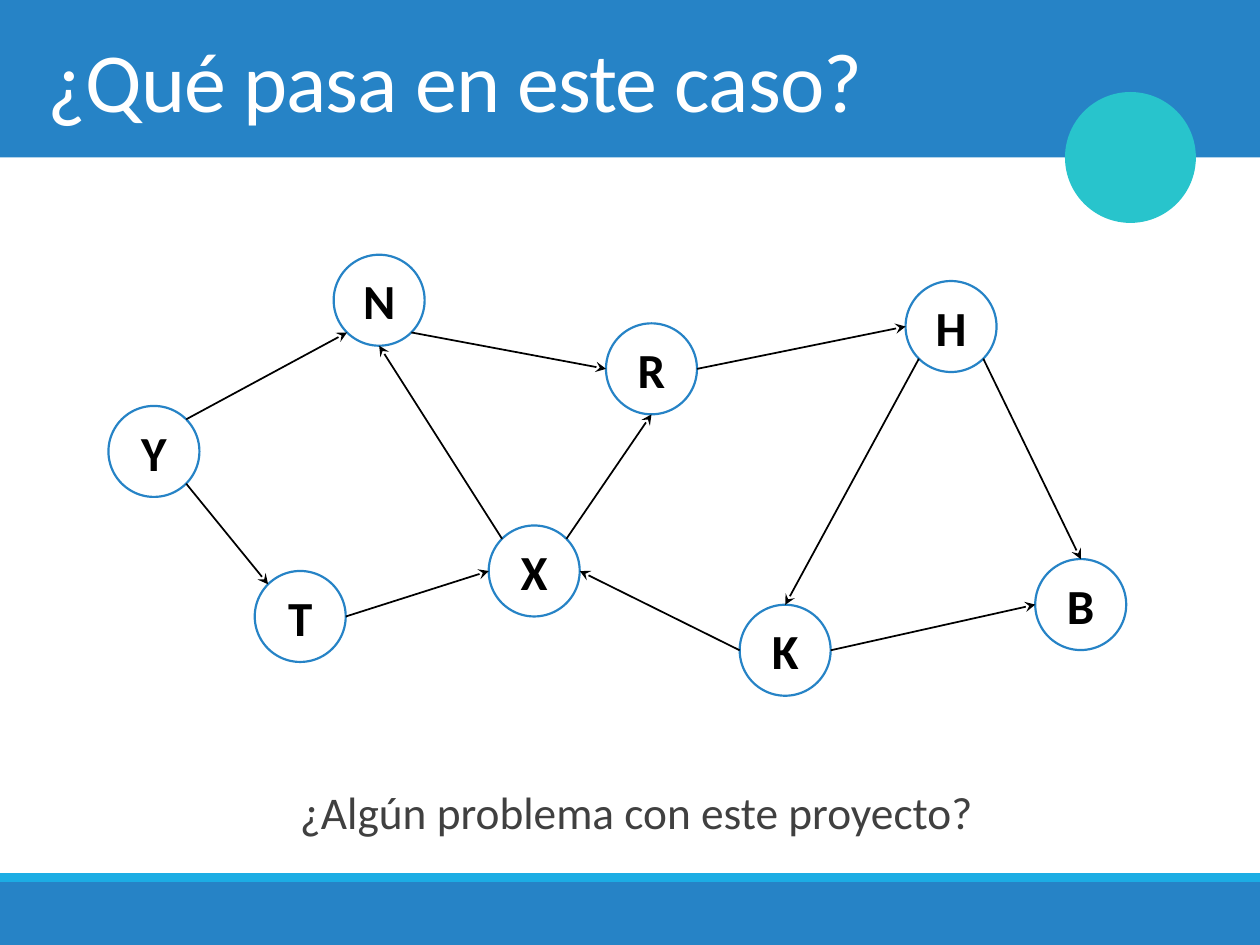
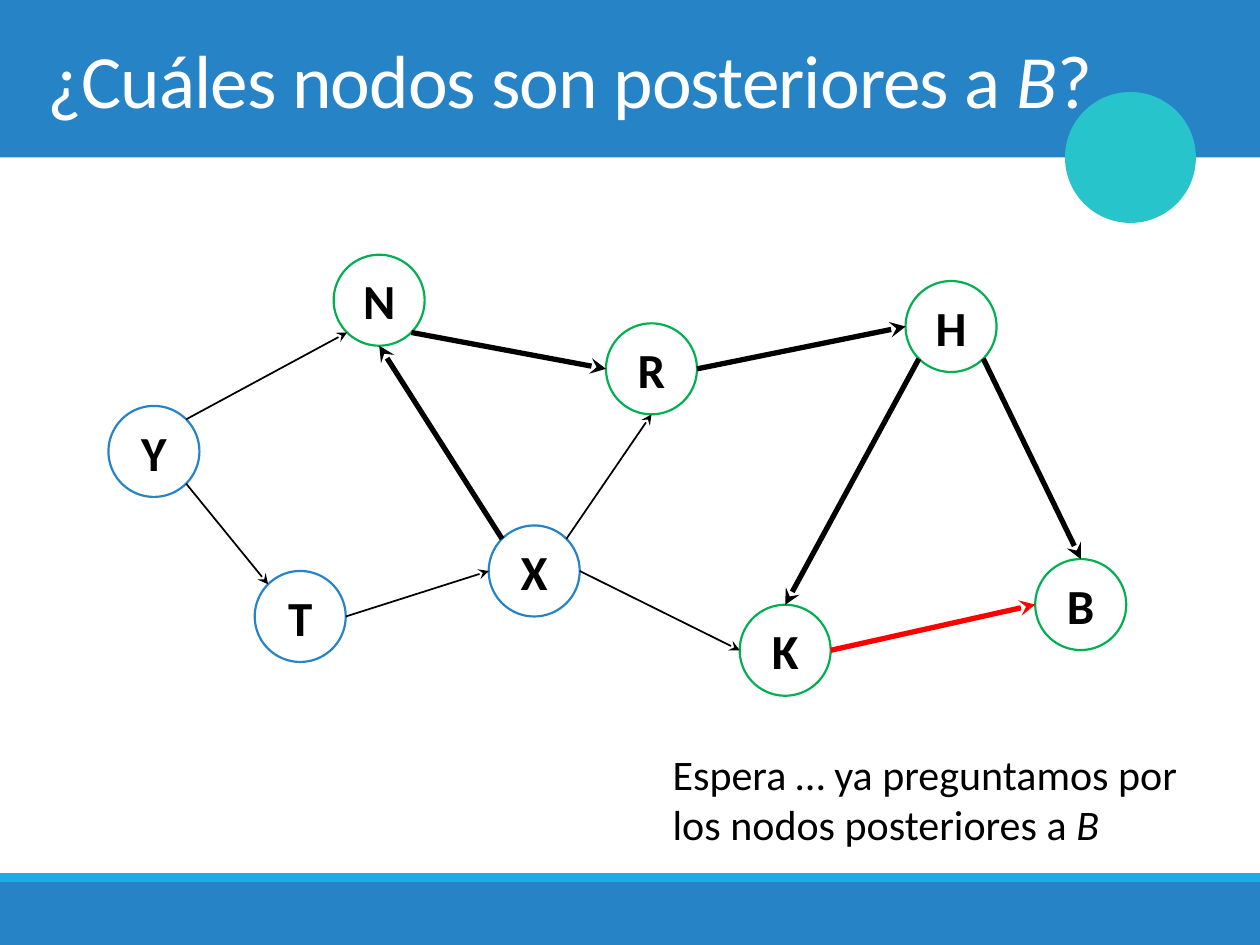
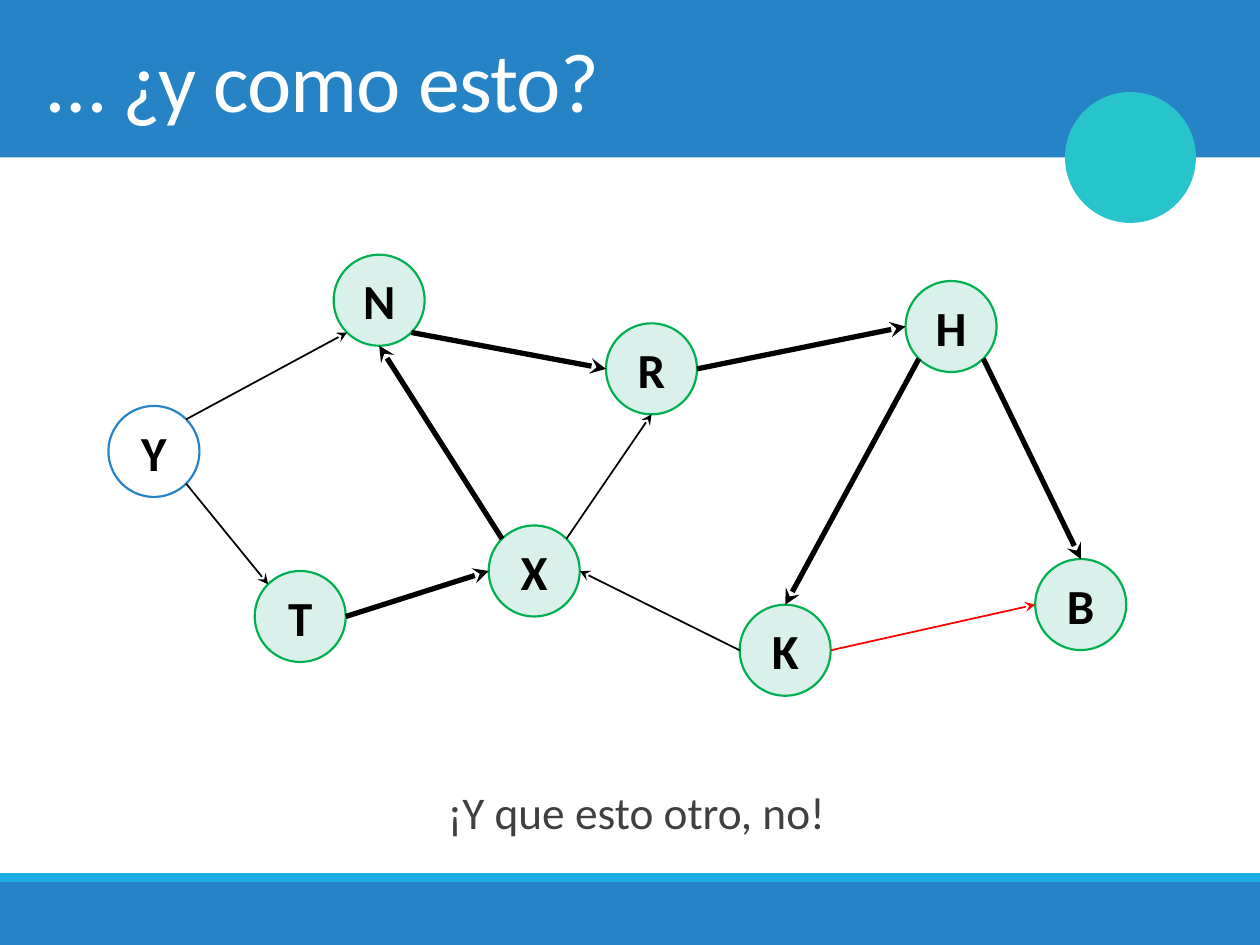
from math import sqrt

from lxml.etree import SubElement
from pptx import Presentation
from pptx.dml.color import RGBColor
from pptx.enum.shapes import MSO_CONNECTOR, MSO_SHAPE
from pptx.enum.text import MSO_ANCHOR, MSO_AUTO_SIZE, PP_ALIGN
from pptx.oxml.ns import qn
from pptx.util import Pt

COLORS = {
    "blue": "2683C6", "sky": "1CADE4", "teal": "28C4CC", "green": "00B050",
    "mint": "D9F1EA", "red": "FF0000", "gray": "404040", "black": "000000",
    "white": "FFFFFF",
}
FONT = "Calibri"


def add_filled(slide, preset, box, fill, outline=None, weight=1):
    shape = slide.shapes.add_shape(preset, *map(Pt, box))
    shape.shadow.inherit = False
    shape.fill.solid()
    shape.fill.fore_color.rgb = RGBColor.from_string(COLORS[fill])
    if outline:
        shape.line.color.rgb = RGBColor.from_string(COLORS[outline])
        shape.line.width = Pt(weight)
    else:
        shape.line.fill.background()
    return shape


def write(paragraph, pieces, size, color, bold=False):
    """Write the pieces as runs; a node's letter inside a sentence is italic."""
    for piece in pieces:
        run = paragraph.add_run()
        run.text = piece
        run.font.name = FONT
        run.font.size = Pt(size)
        run.font.bold = bold
        run.font.italic = len(pieces) > 1 and piece == "B"
        run.font.color.rgb = RGBColor.from_string(COLORS[color])


# The graph: circle corners, and the sites where each arrow leaves and arrives
DIAMETER = 52
RADIUS = DIAMETER / 2
DIAGONAL = RADIUS / sqrt(2)
NODES = {
    "Y": (62, 232), "N": (190.7, 145.6), "T": (145.6, 326.3), "X": (279.3, 300.3),
    "R": (346.3, 184.8), "K": (422.7, 345.6), "H": (517.5, 160.6), "B": (591.6, 319.5),
}
SITES = {
    "top": (0, -RADIUS), "bottom": (0, RADIUS),
    "left": (-RADIUS, 0), "right": (RADIUS, 0),
    "top left": (-DIAGONAL, -DIAGONAL), "top right": (DIAGONAL, -DIAGONAL),
    "bottom left": (-DIAGONAL, DIAGONAL), "bottom right": (DIAGONAL, DIAGONAL),
}
EDGES = {
    "YN": ("top right", "bottom left"), "YT": ("bottom right", "top left"),
    "NR": ("bottom right", "left"), "TX": ("right", "left"),
    "XR": ("top right", "bottom"), "RH": ("right", "left"),
    "HK": ("bottom left", "top"), "XN": ("top left", "bottom"),
    "KX": ("left", "right"), "KB": ("right", "left"),
    "HB": ("bottom right", "top"),
}

SLIDES = [
    {"title": ["¿Qué pasa en este caso?"], "size": 48,
     "question": "¿Algún problema con este proyecto?",
     "green": "", "fill": "white", "heavy": [], "red": [], "reversed": []},
    {"title": ["¿Cuáles nodos son posteriores a ", "B", "?"], "size": 43,
     "note": [["Espera … ya preguntamos por"], ["los nodos posteriores a ", "B"]],
     "green": "NRKHB", "fill": "white",
     "heavy": ["NR", "RH", "HK", "XN", "KB", "HB"], "red": ["KB"], "reversed": ["KX"]},
    {"title": ["… ¿y como esto?"], "size": 48,
     "question": "¡Y que esto otro, no!",
     "green": "NTXRKHB", "fill": "mint",
     "heavy": ["NR", "TX", "RH", "HK", "XN", "HB"], "red": ["KB"], "reversed": []},
]

prs = Presentation()
prs.slide_width, prs.slide_height = Pt(720), Pt(540)
layout = prs.slide_layouts[5]
slides = [prs.slides.add_slide(layout) for _ in SLIDES]

# Bands and circle, moved to the layout that all slides share
decorations = [
    add_filled(slides[0], MSO_SHAPE.RECTANGLE, (0, 0, 720, 90), "blue"),
    add_filled(slides[0], MSO_SHAPE.RECTANGLE, (0, 504, 720, 36), "blue"),
    add_filled(slides[0], MSO_SHAPE.RECTANGLE, (0, 499, 720, 5), "sky"),
    add_filled(slides[0], MSO_SHAPE.OVAL, (609.6, 53.6, 72.8, 72.8), "teal", "teal", 2),
]
for position, decoration in enumerate(decorations, start=2):
    layout.shapes.element.insert(position, decoration.element)

for slide, content in zip(slides, SLIDES):
    # Title
    title = slide.shapes.title
    title.left, title.top, title.width, title.height = map(Pt, (20, 0, 680, 90))
    title.text_frame.vertical_anchor = MSO_ANCHOR.MIDDLE
    title.text_frame.auto_size = MSO_AUTO_SIZE.NONE
    heading = title.text_frame.paragraphs[0]
    heading.alignment = PP_ALIGN.LEFT
    write(heading, content["title"], content["size"], "white")
    for run in heading.runs:
        run.font._element.set("spc", "-50")

    # Question under the graph
    if "question" in content:
        frame = slide.shapes.add_textbox(*map(Pt, (20, 435, 680, 45))).text_frame
        frame.word_wrap = True
        frame.margin_left = Pt(14.4)
        question = frame.paragraphs[0]
        question.alignment = PP_ALIGN.CENTER
        question.line_spacing = 1.3
        question.space_before, question.space_after = Pt(12), Pt(2)
        write(question, [content["question"]], 25.9, "gray")

    # Nodes
    for letter, corner in NODES.items():
        reached = letter in content["green"]
        node = add_filled(slide, MSO_SHAPE.OVAL, (*corner, DIAMETER, DIAMETER),
                          content["fill"] if reached else "white",
                          "green" if reached else "blue", 1.25)
        node.text_frame.vertical_anchor = MSO_ANCHOR.MIDDLE
        label = node.text_frame.paragraphs[0]
        label.alignment = PP_ALIGN.CENTER
        write(label, [letter], 28, "black", bold=True)

    # Arrows
    for edge, sites in EDGES.items():
        ends = [(NODES[letter][0] + RADIUS + SITES[site][0],
                 NODES[letter][1] + RADIUS + SITES[site][1])
                for letter, site in zip(edge, sites)]
        if edge in content["reversed"]:
            ends.reverse()
        arrow = slide.shapes.add_connector(
            MSO_CONNECTOR.STRAIGHT, *(Pt(value) for end in ends for value in end))
        arrow.line.color.rgb = RGBColor.from_string(
            COLORS["red" if edge in content["red"] else "black"])
        arrow.line.width = Pt(3 if edge in content["heavy"] else 1)
        SubElement(arrow.line._get_or_add_ln(), qn("a:tailEnd"), type="stealth")
        SubElement(arrow.element.spPr, qn("a:effectLst"))

    # Note beside the graph
    if "note" in content:
        frame = slide.shapes.add_textbox(*map(Pt, (377.3, 424, 305.3, 65.5))).text_frame
        frame.word_wrap = False
        frame.auto_size = MSO_AUTO_SIZE.SHAPE_TO_FIT_TEXT
        for number, pieces in enumerate(content["note"]):
            line = frame.add_paragraph() if number else frame.paragraphs[0]
            write(line, pieces, 24, "black")

prs.save("out.pptx")
